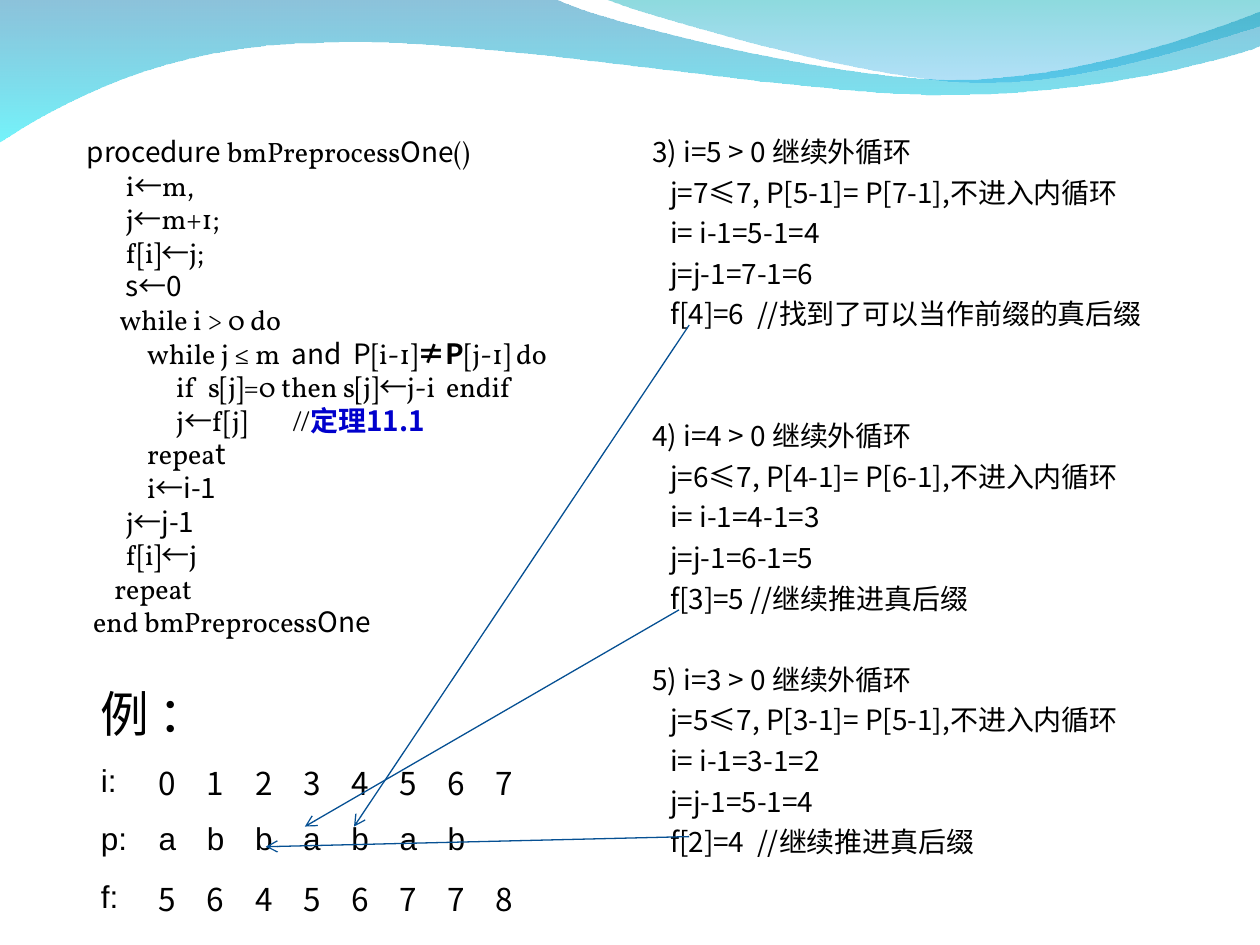
from lxml import etree
from pptx import Presentation
from pptx.dml.color import RGBColor
from pptx.enum.shapes import MSO_CONNECTOR
from pptx.enum.text import MSO_ANCHOR
from pptx.oxml.ns import qn
from pptx.util import Inches, Pt

STRAIGHT = MSO_CONNECTOR.STRAIGHT
TOP, MIDDLE = MSO_ANCHOR.TOP, MSO_ANCHOR.MIDDLE
SANS, SERIF, ARIAL = "Noto Sans CJK SC", "Vollkorn", "Arial"
LEAD, GAP = 19.2, 4

# Start point, then lines (one point) and curves (three points).
WAVES = [
    ([[(0, -0.01)], [(4.4, -0.01)],
      [(4.76, 0.17), (6.64, 0.63), (7.58, 0.63)],
      [(8.53, 0.63), (9.58, 0.26), (10, 0.09)], [(10.01, 0.36)],
      [(9.83, 0.44), (8.7, 0.76), (7.46, 0.75)],
      [(6.22, 0.75), (3.82, 0.28), (2.57, 0.34)],
      [(1.29, 0.35), (0.46, 0.83), (-0.01, 1.13)]],
     [("0079AF", 45), ("00EBF8", 55)]),
    ([[(4.79, -0.01)], [(5.09, 0.11), (6.82, 0.62), (7.69, 0.65)],
      [(8.56, 0.69), (9.61, 0.32), (10, 0.21)], [(10, 0)]],
     [("00ADB6", 45), ("009BE5", 30)]),
]

# Indent and text; "|" switches between the serif and the sans font.
CODE = [
    (0.04, "|procedure |bmPreprocess|One|()"),
    (0.35, "i|←|m,"),
    (0.35, "j|←|m+1;"),
    (0.35, "f[i]|←|j;"),
    (0.35, "|s←0"),
    (0.3, "while i > 0 do"),
    (0.52, "while j ≤ m  |and  P|[i-1]|≠P|[j-1] do"),
    (0.75, "if  s[j]=0 then s[j]|←|j-i  endif"),
    (0.75, "j|←|f[j]\t//|定理11.1"),
    (0.52, "repea|t"),
    (0.52, "i|←i-1"),
    (0.35, "j|←j-1"),
    (0.35, "f[i]|←|j"),
    (0.26, "repeat"),
    (0.09, "end bmPreprocess|One"),
]
STRONG = {"≠P": {"bold": True}, "定理11.1": {"bold": True, "color": "0000CC"}}

# i, j, blank lines above, remark
STEPS = [
    (5, 7, 0, "  //找到了可以当作前缀的真后缀"),
    (4, 6, 2, " //继续推进真后缀"),
    (3, 5, 1, "  //继续推进真后缀"),
]

ROWS = [("i:", "01234567", SANS), ("p:", "abbabab", ARIAL), ("f:", "56456778", SANS)]

ARROWS = [((5.47, 2.58), (2.81, 6.56)),
          ((5.39, 4.84), (2.42, 6.56)),
          ((5.47, 6.64), (2.11, 6.72))]


def rgb(code):
    return RGBColor.from_string(code)


def write(para, text, size=16, font=SANS, color="000000", bold=False):
    run = para.add_run()
    run.text = text
    face = run.font
    face.size, face.bold = Pt(size), bold
    face.color.rgb = rgb(color)
    face.name = font
    etree.SubElement(run._r.rPr, qn("a:ea"), typeface=font)


def add_box(slide, left, top, width, height):
    frame = slide.shapes.add_textbox(*map(Inches, (left, top, width, height))).text_frame
    frame.word_wrap = True
    return frame


def add_line(frame, indent, before, hang=0):
    """Return a paragraph whose text starts at indent and whose tab leads to hang."""
    para = frame.paragraphs[0]
    if para.runs:
        para = frame.add_paragraph()
    para.line_spacing, para.space_before = Pt(LEAD), Pt(before)
    props = para._p.get_or_add_pPr()
    props.set("marL", str(Inches(hang)))
    props.set("indent", str(Inches(indent - hang)))
    return para


def bend(wave, parts):
    """Turn the straight segments of a freeform into curves where a part has three points."""
    lines = list(wave._element.spPr.iter(qn("a:lnTo")))
    for line, part in zip(lines, parts):
        if len(part) == 3:
            arc = etree.Element(qn("a:cubicBezTo"))
            for x, y in part:
                etree.SubElement(arc, qn("a:pt"), x=str(Inches(x) - wave.left),
                                 y=str(Inches(y) - wave.top))
            line.getparent().replace(line, arc)


def add_wave(slide, parts, stops):
    ends = [tuple(map(Inches, part[-1])) for part in parts]
    form = slide.shapes.build_freeform(*ends[0])
    form.add_line_segments(ends[1:], close=True)
    wave = form.convert_to_shape()
    bend(wave, parts[1:])
    wave.shadow.inherit = False
    wave.line.fill.background()
    wave.fill.gradient()
    wave.fill.gradient_angle = 270
    for stop, (color, alpha) in zip(wave.fill.gradient_stops, stops):
        stop.color.rgb = rgb(color)
    for node, (color, alpha) in zip(wave._element.spPr.iter(qn("a:srgbClr")), stops):
        etree.SubElement(node, qn("a:alpha"), val=str(alpha * 1000))


def add_code(slide):
    frame = add_box(slide, 0.55, 1.02, 4.22, 4.8)
    for row, (indent, text) in enumerate(CODE):
        para = add_line(frame, indent, 0 if row else GAP, 1.67 if "\t" in text else 0)
        for turn, part in enumerate(text.split("|")):
            if part:
                write(para, part, font=(SERIF, SANS)[turn % 2], **STRONG.get(part, {}))


def add_steps(slide):
    frame = add_box(slide, 5.08, 1.02, 4.92, 4.8)
    for num, (i, j, blank, note) in enumerate(STEPS, 3):
        head = add_line(frame, 0, GAP + blank * (LEAD + GAP))
        write(head, f"{num}) i={i} > 0 继续外循环")
        for text in (f"j={j}≤7, P[{i}-1]= P[{j}-1],不进入内循环",
                     f"i= i-1={i}-1={i - 1}",
                     f"j=j-1={j}-1={j - 1}",
                     f"f[{i - 1}]={j - 1}{note}"):
            write(add_line(frame, 0.14, GAP), text)


def fill_cell(cell, text, anchor=MIDDLE, **form):
    cell.vertical_anchor = anchor
    write(cell.text_frame.paragraphs[0], text, **form)


def add_grid(slide):
    wide, first = 3.52, 0.46
    table = slide.shapes.add_table(4, 9, *map(Inches, (0.7, 5.31, wide, 2.05))).table
    table.first_row = table.horz_banding = False
    for num, col in enumerate(table.columns):
        col.width = Inches((wide - first) / 8 if num else first)
    for num, row in enumerate(table.rows):
        row.height = Inches(1.39 / 3 if num else 0.66)
    for cell in table.iter_cells():
        cell.fill.background()
    fill_cell(table.cell(0, 0), "例", size=28)
    fill_cell(table.cell(0, 1), "：", TOP, size=28)
    for row, (label, values, font) in enumerate(ROWS, 1):
        fill_cell(table.cell(row, 0), label, size=18, font=ARIAL)
        for col, value in enumerate(values, 1):
            fill_cell(table.cell(row, col), value, size=18, font=font)


def add_arrow(slide, start, end):
    arrow = slide.shapes.add_connector(STRAIGHT, *map(Inches, start + end))
    arrow.line.color.rgb = rgb("065093")
    arrow.line.width = Pt(0.75)
    etree.SubElement(arrow.line._get_or_add_ln(), qn("a:tailEnd"), type="arrow")
    etree.SubElement(arrow._element.spPr, qn("a:effectLst"))


def main():
    deck = Presentation()
    deck.slide_width, deck.slide_height = Inches(10), Inches(7.5)
    slide = deck.slides.add_slide(deck.slide_layouts[6])
    for parts, stops in WAVES:
        add_wave(slide, parts, stops)
    add_code(slide)
    add_grid(slide)
    add_steps(slide)
    for start, end in ARROWS:
        add_arrow(slide, start, end)
    deck.save("out.pptx")


if __name__ == "__main__":
    main()
